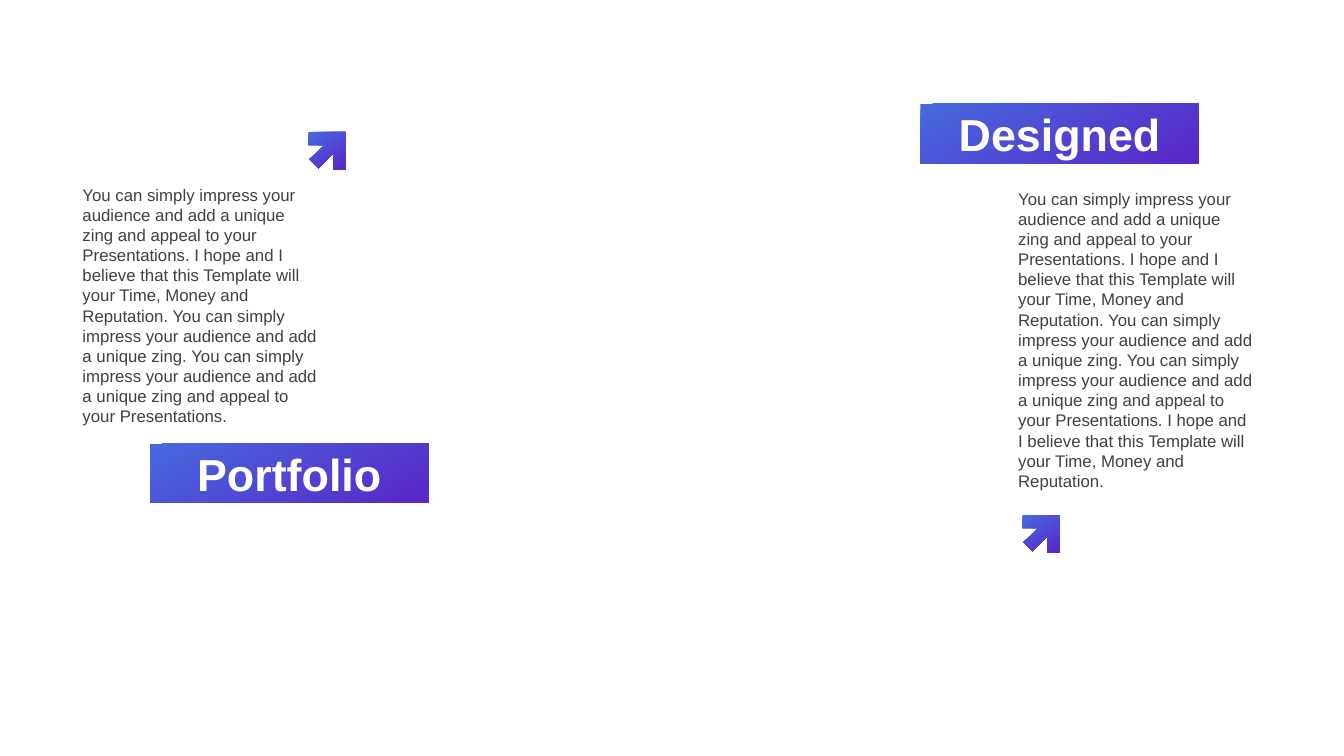
from typing import NamedTuple

from pptx import Presentation
from pptx.dml.color import RGBColor
from pptx.enum import shapes, text
from pptx.util import Inches, Pt

FONT = "Arial"
GRADIENT = ("4669DD", "5A26C8")
GRADIENT_ANGLE = 300  # counter-clockwise degrees: runs down to the right

HOPE = ("I hope and I believe that this Template will your Time, "
        "Money and Reputation.")
IMPRESS = "You can simply impress your audience and add a unique zing"
SHORT_TEXT = (f"{IMPRESS} and appeal to your Presentations. {HOPE} "
              f"{IMPRESS}. {IMPRESS} and appeal to your Presentations.")

# Outline of the arrow, relative to its top left corner
ARROW = [(0, 0), (0.37, 0), (0.37, 0.37), (0.25, 0.37), (0.25, 0.21),
         (0.1, 0.36), (0.01, 0.27), (0.16, 0.13), (0, 0.13)]


class Panel(NamedTuple):
    heading: str
    heading_at: tuple[float, float]
    arrow_at: tuple[float, float]
    body: str
    body_at: tuple[float, float]
    body_height: float


PANELS = [
    Panel("Designed", (9.13, 1.03), (10.14, 5.11),
          f"{SHORT_TEXT} {HOPE}", (10, 1.82), 3.13),
    Panel("Portfolio", (1.49, 4.4), (3.06, 1.31),
          SHORT_TEXT, (0.72, 1.78), 2.52),
]


def rgb(value: str) -> RGBColor:
    return RGBColor.from_string(value)


def paint(sp) -> None:
    """Give a shape the blue to violet gradient, with no line or shadow."""
    sp.shadow.inherit = False
    sp.line.fill.background()
    sp.fill.gradient()
    sp.fill.gradient_angle = GRADIENT_ANGLE
    for stop, colour in zip(sp.fill.gradient_stops, GRADIENT):
        stop.color.rgb = rgb(colour)


def write(tf, words: str, size: float, colour: str, bold: bool = False) -> None:
    tf.word_wrap = True
    tf.text = words
    font = tf.paragraphs[0].runs[0].font
    font.name, font.size, font.bold = FONT, Pt(size), bold
    font.color.rgb = rgb(colour)


def add_heading(s, panel: Panel) -> None:
    left, top = panel.heading_at
    sp = s.shapes.add_shape(shapes.MSO_SHAPE.RECTANGLE, Inches(left),
                            Inches(top), Inches(2.76), Inches(0.59))
    paint(sp)
    tf = sp.text_frame
    write(tf, panel.heading, 32, "FFFFFF", bold=True)
    tf.vertical_anchor = text.MSO_ANCHOR.MIDDLE
    tf.paragraphs[0].alignment = text.PP_ALIGN.CENTER


def add_arrow(s, panel: Panel) -> None:
    left, top = panel.arrow_at
    points = [(Inches(left + x), Inches(top + y)) for x, y in ARROW]
    builder = s.shapes.build_freeform(*points[0])
    builder.add_line_segments(points[1:], close=True)
    paint(builder.convert_to_shape())


def add_body(s, panel: Panel) -> None:
    left, top = panel.body_at
    sp = s.shapes.add_textbox(Inches(left), Inches(top),
                              Inches(2.53), Inches(panel.body_height))
    write(sp.text_frame, panel.body, 12, "404040")
    sp.text_frame.auto_size = text.MSO_AUTO_SIZE.SHAPE_TO_FIT_TEXT


def main() -> None:
    prs = Presentation()
    prs.slide_width, prs.slide_height = Inches(13.33), Inches(7.5)
    s = prs.slides.add_slide(prs.slide_layouts.get_by_name("Blank"))
    for add_part in (add_heading, add_arrow, add_body):
        for panel in PANELS:
            add_part(s, panel)
    prs.save("out.pptx")


if __name__ == "__main__":
    main()
